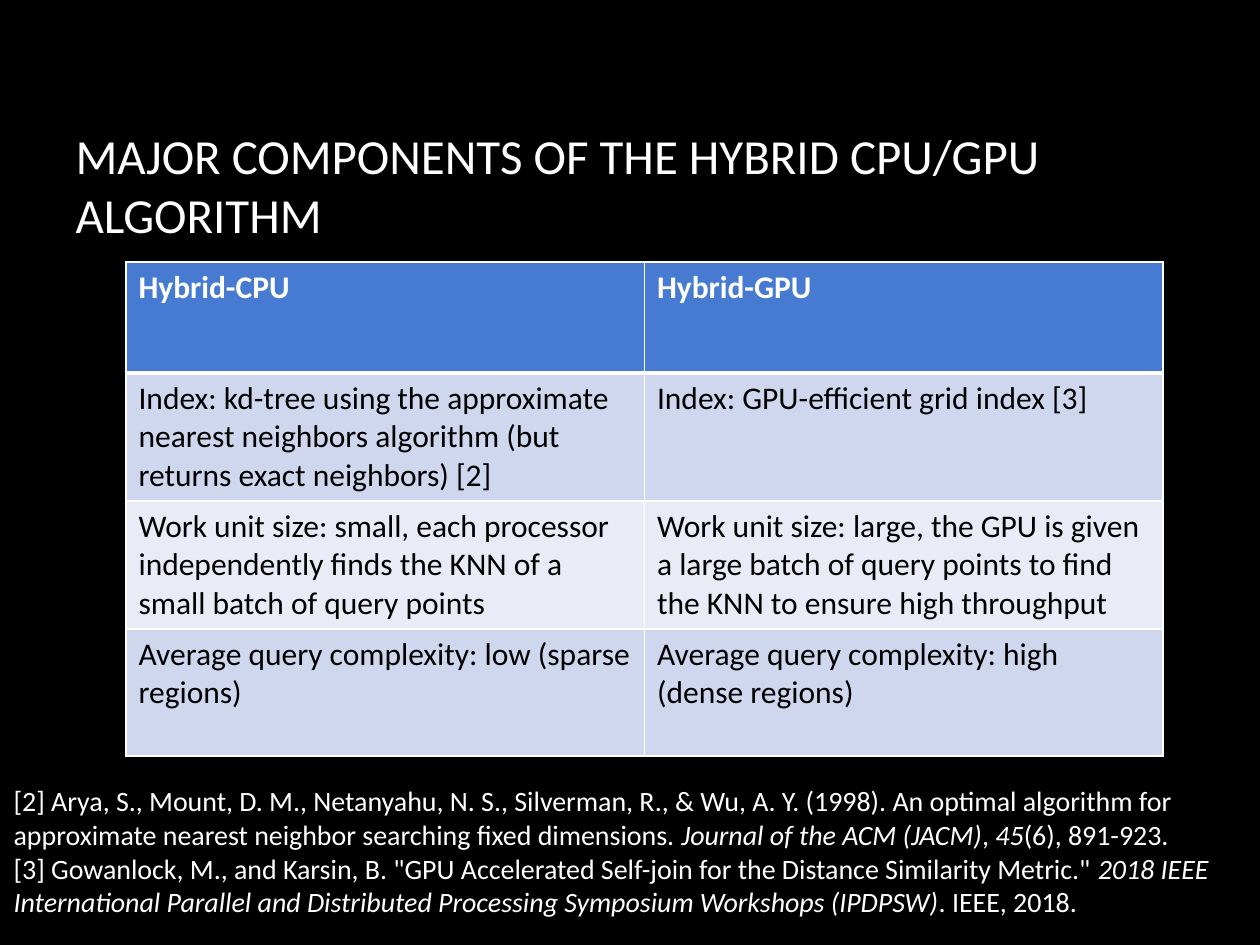
from lxml import etree
from pptx import Presentation
from pptx import util as u
from pptx.dml.color import RGBColor
from pptx.enum import shapes, text
from pptx.oxml.ns import qn

HUES = {
    "black": "000000",
    "white": "FFFFFF",
    "head": "477BD1",
    "dark": "CFD7EE",
    "light": "E9ECF7",
}
TITLE = "MAJOR COMPONENTS OF THE HYBRID CPU/GPU ALGORITHM"
ROWS = [
    ("Hybrid-CPU", "Hybrid-GPU"),
    ("Index: kd-tree using the approximate nearest neighbors algorithm "
     "(but returns exact neighbors) [2]",
     "Index: GPU-efficient grid index [3]"),
    ("Work unit size: small, each processor independently finds the KNN "
     "of a small batch of query points",
     "Work unit size: large, the GPU is given a large batch of query points "
     "to find the KNN to ensure high throughput"),
    ("Average query complexity: low (sparse regions)",
     "Average query complexity: high (dense regions)"),
]
# Each reference alternates upright and italic runs
REFS = [
    ["[2] Arya, S., Mount, D. M., Netanyahu, N. S., Silverman, R., & Wu, A. Y. "
     "(1998). An optimal algorithm for approximate nearest neighbor searching "
     "fixed dimensions. ", "Journal of the ACM (JACM)", ", ", "45",
     "(6), 891-923."],
    ["[3] Gowanlock, M., and Karsin, B. \"GPU Accelerated Self-join for the "
     "Distance Similarity Metric.\" ",
     "2018 IEEE International Parallel and Distributed Processing Symposium "
     "Workshops (IPDPSW)", ". IEEE, 2018."],
]


def paint(fill, hue):
    fill.solid()
    fill.fore_color.rgb = RGBColor.from_string(HUES[hue])


def write(para, words, size=18, hue="white", bold=False, slant=False):
    para.alignment = text.PP_ALIGN.LEFT
    run = para.add_run()
    run.text = words
    font = run.font
    font.name, font.size = "Calibri", u.Pt(size)
    font.bold, font.italic = bold, slant
    font.color.rgb = RGBColor.from_string(HUES[hue])


def edge(cell, side, width):
    line = etree.Element(qn("a:" + side), w=str(u.Pt(width)))
    fill = etree.SubElement(line, qn("a:solidFill"))
    etree.SubElement(fill, qn("a:srgbClr"), val=HUES["white"])
    return line


def add_title(slide, box):
    title = slide.shapes.title
    title.left, title.top, title.width, title.height = box
    frame = title.text_frame
    frame.word_wrap = True
    frame.auto_size = text.MSO_AUTO_SIZE.NONE
    frame.vertical_anchor = text.MSO_ANCHOR.MIDDLE
    write(frame.paragraphs[0], TITLE, size=28)


def add_grid(slide, box):
    grid = slide.shapes.add_table(len(ROWS), 2, *box).table
    top = u.Inches(0.88)
    for i, row in enumerate(ROWS):
        head = i == 0
        grid.rows[i].height = top if head else (box[3] - top) // (len(ROWS) - 1)
        for j, words in enumerate(row):
            cell = grid.cell(i, j)
            paint(cell.fill, "head" if head else "dark" if i % 2 else "light")
            write(cell.text_frame.paragraphs[0], words,
                  hue="white" if head else "black", bold=head)
            # Thin white rules, thicker below the heading
            widths = {"lnL": 1, "lnR": 1, "lnT": 3 if i == 1 else 1,
                      "lnB": 3 if head else 1}
            props = cell._tc.get_or_add_tcPr()
            for k, (side, width) in enumerate(widths.items()):
                props.insert(k, edge(cell, side, width))


def add_refs(slide, box):
    panel = slide.shapes.add_shape(shapes.MSO_SHAPE.RECTANGLE, *box)
    panel.shadow.inherit = False
    paint(panel.fill, "black")
    panel.line.fill.background()
    frame = panel.text_frame
    frame.word_wrap = True
    frame.vertical_anchor = text.MSO_ANCHOR.MIDDLE
    for i, ref in enumerate(REFS):
        para = frame.add_paragraph() if i else frame.paragraphs[0]
        for j, words in enumerate(ref):
            write(para, words, size=16, slant=j % 2 == 1)


def place(*sides):
    return [u.Inches(side) for side in sides]


def main():
    deck = Presentation()
    deck.slide_width, deck.slide_height = place(10, 7.5)
    slide = deck.slides.add_slide(deck.slide_layouts[5])
    paint(slide.background.fill, "black")
    add_title(slide, place(0.5, 0.67, 8.5, 1.59))
    add_grid(slide, place(1, 2.08, 8.23, 3.91))
    add_refs(slide, place(0.01, 6.01, 9.99, 1.49))
    deck.save("out.pptx")


if __name__ == "__main__":
    main()
